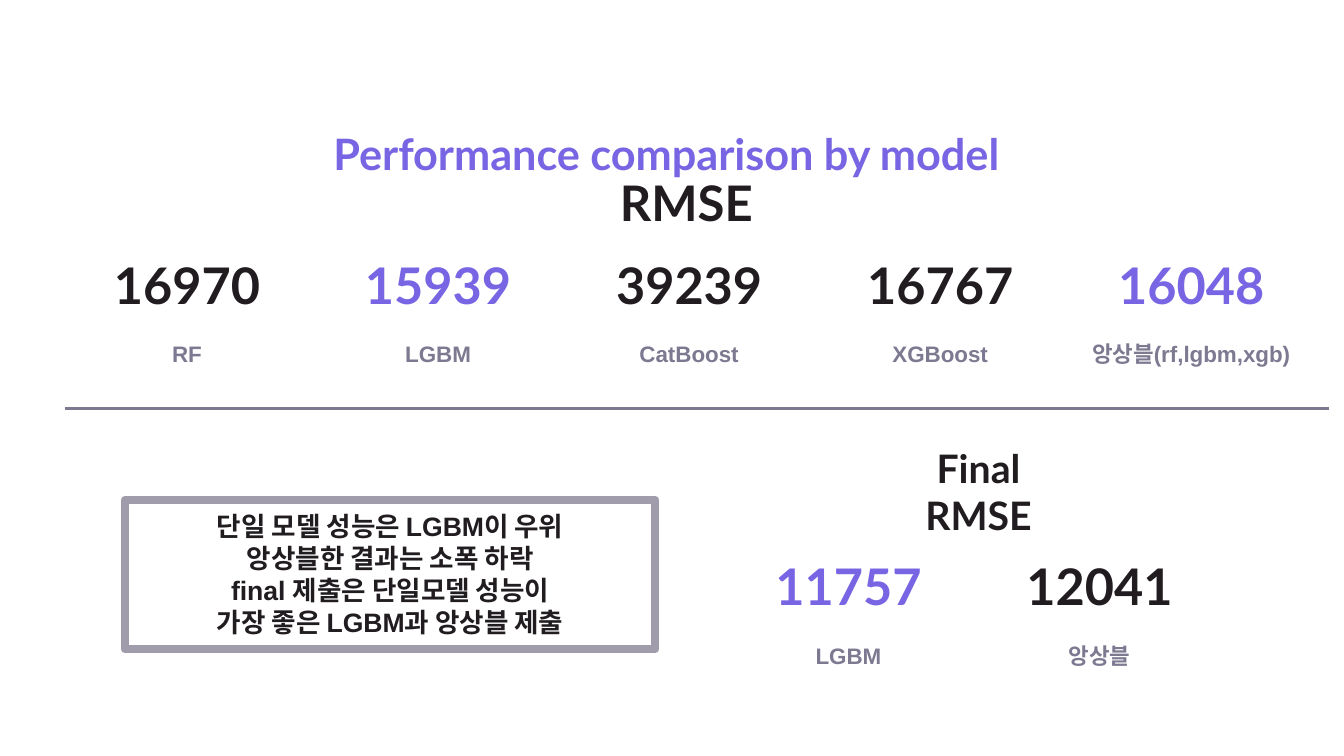
"""Build the slide that compares model errors."""
from lxml import etree
from pptx import Presentation
from pptx.dml.color import RGBColor
from pptx.enum.shapes import MSO_CONNECTOR, MSO_SHAPE
from pptx.enum.text import MSO_ANCHOR, MSO_AUTO_SIZE, PP_ALIGN
from pptx.oxml.ns import qn
from pptx.util import Emu, Pt

STRAIGHT = MSO_CONNECTOR.STRAIGHT
RECTANGLE = MSO_SHAPE.RECTANGLE
TOP, BOTTOM = MSO_ANCHOR.TOP, MSO_ANCHOR.BOTTOM
LEFT, CENTER = PP_ALIGN.LEFT, PP_ALIGN.CENTER
NO_AUTOFIT = MSO_AUTO_SIZE.NONE

EMU_PER_PX = 9144
INK, PURPLE, GRAY, FRAME = "201C20", "7765E3", "7D7991", "A09CAB"
SCORE_WIDTH, SCORE_STEP = 237, 249

MODEL_SCORES = [
    ("16970", "RF", INK),
    ("15939", "LGBM", PURPLE),
    ("39239", "CatBoost", INK),
    ("16767", "XGBoost", INK),
    ("16048", "앙상블(rf,lgbm,xgb)", PURPLE),
]
FINAL_SCORES = [("11757", "LGBM", PURPLE), ("12041", "앙상블", INK)]
FINDINGS = [
    "단일 모델 성능은 LGBM이 우위",
    "앙상블한 결과는 소폭 하락",
    "final 제출은 단일모델 성능이",
    "가장 좋은 LGBM과 앙상블 제출",
]


def px(*lengths):
    """Turn pixel lengths into EMU."""
    return [Emu(length * EMU_PER_PX) for length in lengths]


def color(value):
    """Turn a hex string into a colour."""
    return RGBColor.from_string(value)


def write(box, lines, font, size, hue, align=CENTER, anchor=TOP,
          inset=5, spacing=1.0):
    """Fill a shape with bold lines in one style."""
    frame = box.text_frame
    frame.word_wrap = True
    frame.auto_size = NO_AUTOFIT
    frame.vertical_anchor = anchor
    frame.margin_left, frame.margin_right = px(10, 10)
    frame.margin_top, frame.margin_bottom = px(inset, inset)
    for index, line in enumerate(lines):
        para = frame.add_paragraph() if index else frame.paragraphs[0]
        para.text = line
        para.alignment = align
        para.line_spacing = spacing
        para.font.name = font
        para.font.size = Pt(size)
        para.font.bold = True
        para.font.color.rgb = color(hue)


def add_title(page, text):
    """Place the slide title."""
    title = page.shapes.title
    title.left, title.top, title.width, title.height = px(61, 95, 1200, 83)
    write(title, [text], "Lato", 30.9, PURPLE, spacing=1.5)


def add_text(page, place, *args, **style):
    """Add a styled text box."""
    write(page.shapes.add_textbox(*px(*place)), *args, **style)


def add_scores(page, left, top, scores):
    """Add a row of scores with model names beneath."""
    for index, (score, model, hue) in enumerate(scores):
        column = left + index * SCORE_STEP
        add_text(page, (column, top, SCORE_WIDTH, 70), [score], "Lato", 36,
                 hue, anchor=BOTTOM, spacing=0.85)
        add_text(page, (column, top + 86, SCORE_WIDTH, 45), [model], "Arial",
                 16, GRAY)


def add_divider(page, left, right, top):
    """Draw a horizontal rule."""
    rule = page.shapes.add_connector(STRAIGHT, *px(left, top, right, top))
    rule.line.color.rgb = color(GRAY)
    rule.line.width = Pt(2.25)
    etree.SubElement(rule.element.spPr, qn("a:effectLst"))


def add_framed_note(page, place, lines):
    """Add a thickly outlined note."""
    note = page.shapes.add_shape(RECTANGLE, *px(*place))
    note.shadow.inherit = False
    note.fill.background()
    note.line.color.rgb = color(FRAME)
    note.line.width = Pt(6)
    write(note, lines, "Arial", 19, INK, inset=10)


def main():
    """Build and save the deck."""
    deck = Presentation()
    deck.slide_width, deck.slide_height = px(1333, 750)
    page = deck.slides.add_slide(deck.slide_layouts[5])
    add_title(page, "Performance comparison by model")
    add_text(page, (605, 161, 157, 95), ["RMSE"], "Lato", 35, INK,
             align=LEFT, inset=10)
    add_scores(page, 67, 247, MODEL_SCORES)
    add_divider(page, 64, 1318, 405)
    add_framed_note(page, (124, 496, 526, 148), FINDINGS)
    add_text(page, (892, 431, 157, 95), ["Final", "RMSE"], "Lato", 28, INK,
             inset=10)
    add_scores(page, 723, 546, FINAL_SCORES)
    deck.save("out.pptx")


if __name__ == "__main__":
    main()
